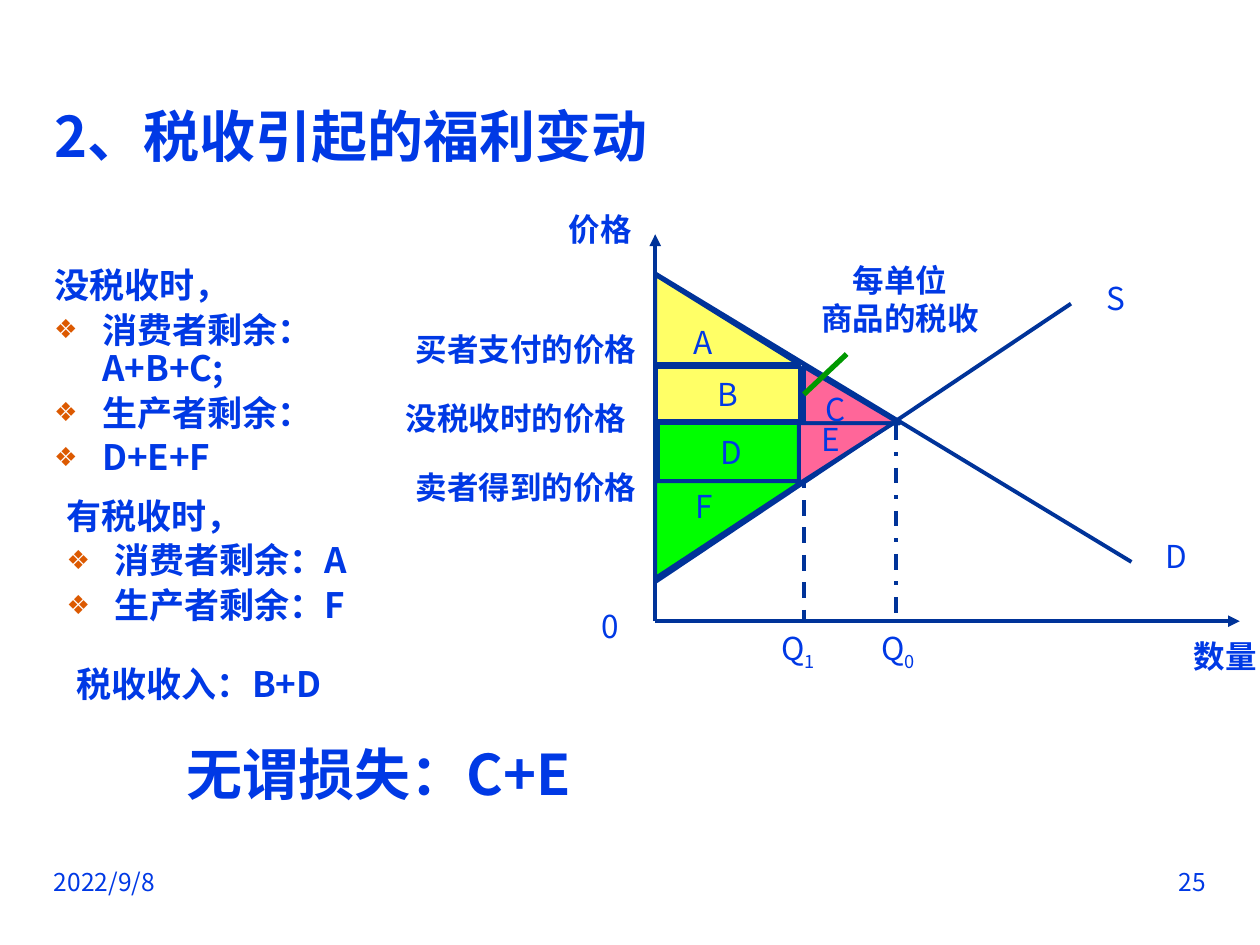
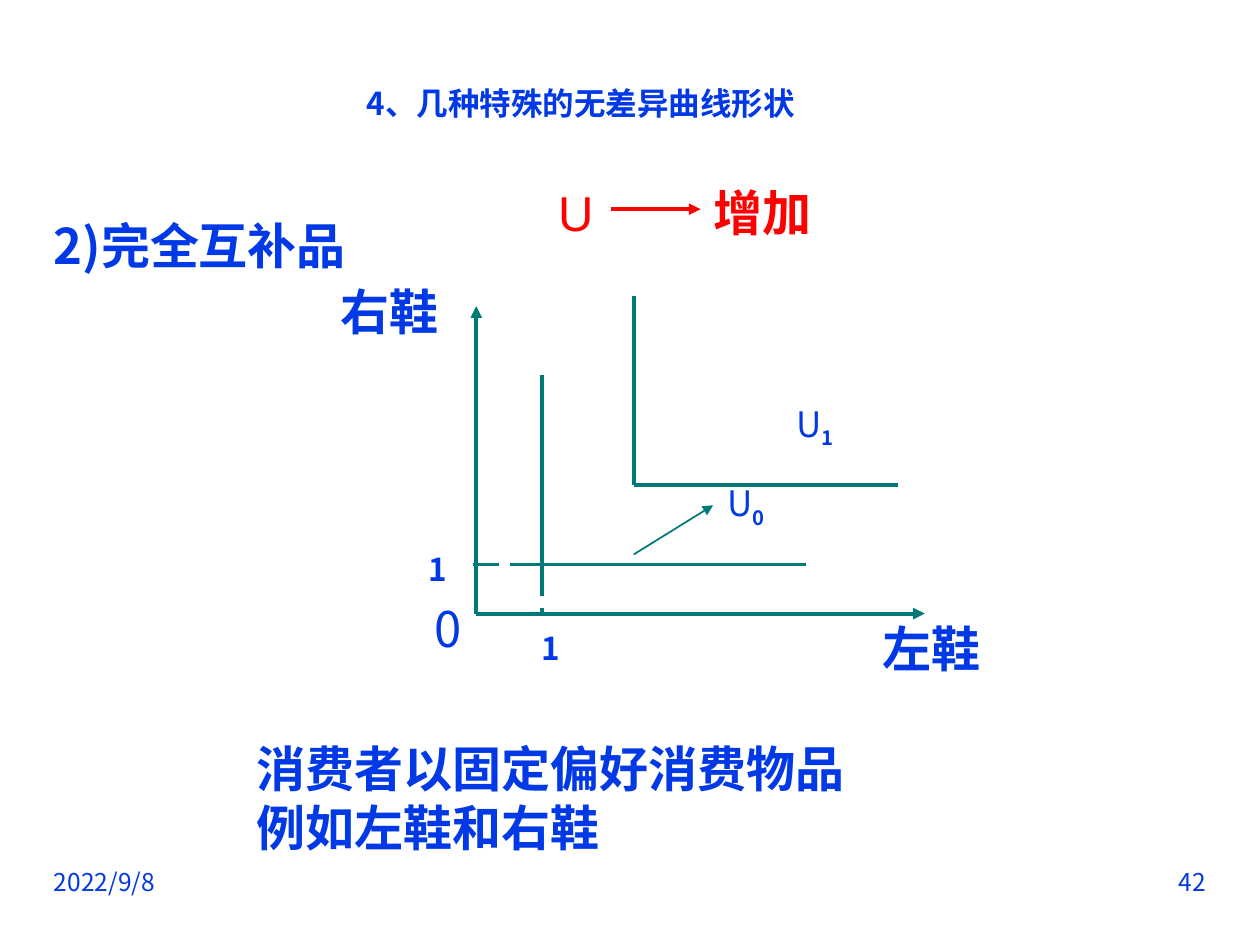
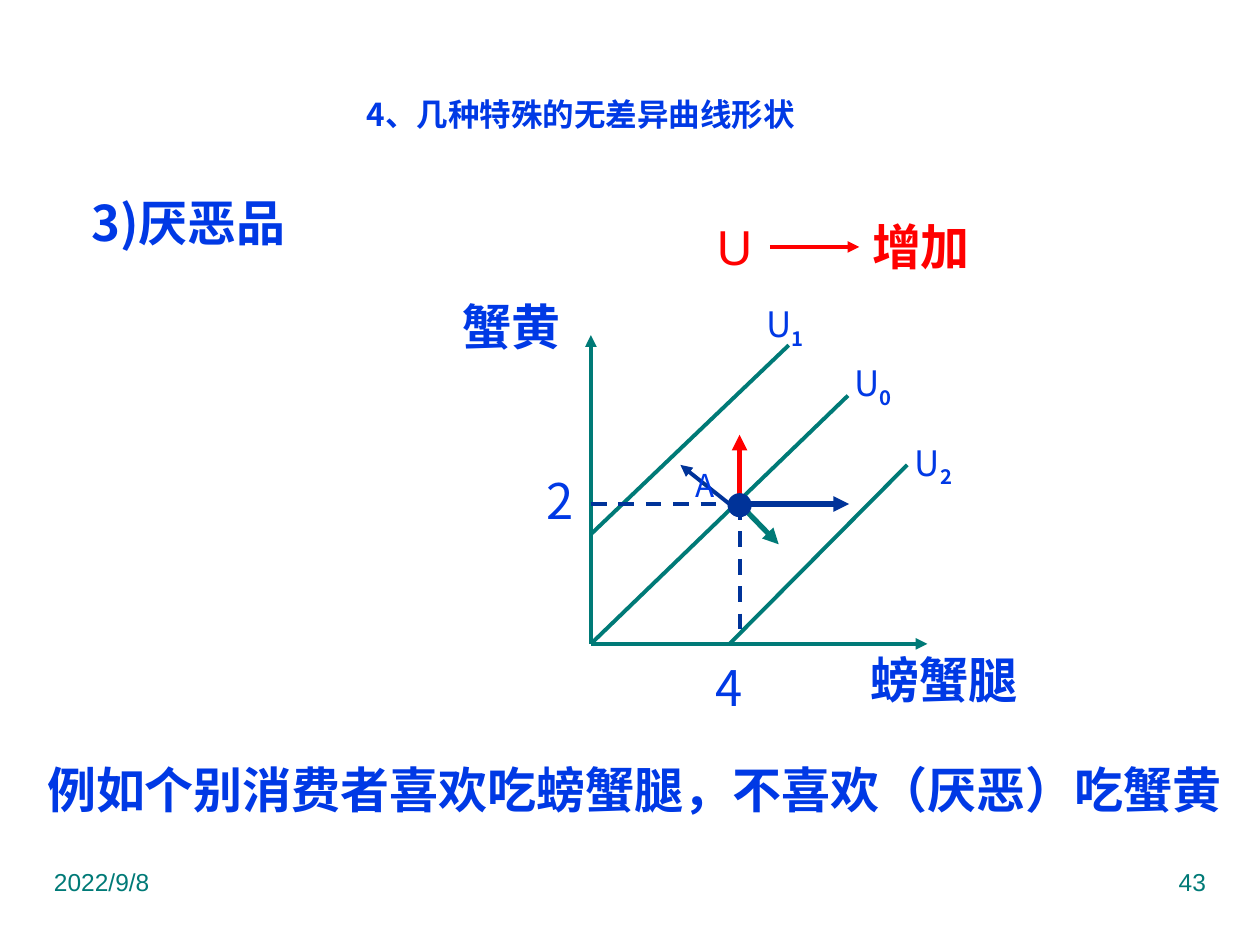
from dataclasses import dataclass
from typing import Optional

from lxml.etree import SubElement
from pptx import Presentation
from pptx.dml.color import RGBColor
from pptx.enum.dml import MSO_LINE as Dash
from pptx.enum.shapes import MSO_CONNECTOR as Connector, MSO_SHAPE as Preset
from pptx.enum.text import MSO_ANCHOR as Anchor, MSO_AUTO_SIZE as AutoSize, PP_ALIGN as Align
from pptx.oxml.ns import qn
from pptx.slide import Slide
from pptx.text.text import TextFrame, _Paragraph as Paragraph
from pptx.util import Inches, Pt

# Shared look
COLORS = {
    "text": "0039E5", "navy": "003399", "teal": "007A77", "red": "FF0000",
    "green": "009900", "bullet": "DC5900",
    "yellow": "FFFF66", "pink": "FF6699", "lime": "00FF00",
}
CJK = "Noto Sans CJK SC"
LATIN = "Arial"
DATE = "2022/9/8"
CURVES_TITLE = "4、几种特殊的无差异曲线形状"
TITLE_ONLY, TITLE_AND_BODY = 5, 1


@dataclass
class Box:
    left: float
    top: float
    width: float
    height: float

    def lengths(self) -> list:
        return [Inches(n) for n in (self.left, self.top, self.width, self.height)]


@dataclass
class Label:
    text: str
    box: Box
    size: int = 18
    bold: bool = False
    color: str = "text"
    font: str = CJK
    align: Align = Align.CENTER
    sub: str = ""
    sub_bold: bool = True
    preset: Preset = Preset.RECTANGLE


@dataclass
class Line:
    x1: float
    y1: float
    x2: float
    y2: float
    color: str = "navy"
    width: float = 2.25
    dash: Optional[Dash] = None
    arrow: bool = False


@dataclass
class Area:
    text: str
    preset: Preset
    box: Box
    fill: str
    flipped: bool = False


def rgb(name: str) -> RGBColor:
    return RGBColor.from_string(COLORS[name])


# Text
def style(paragraph: Paragraph, size: float, bold: bool = False,
          color: str = "text", font: str = CJK) -> None:
    paragraph.font.size = Pt(size)
    paragraph.font.bold = bold
    paragraph.font.color.rgb = rgb(color)
    paragraph.font.name = font
    defaults = paragraph._p.pPr.find(qn("a:defRPr"))
    SubElement(defaults, qn("a:ea")).set("typeface", CJK)


def add_label(slide: Slide, label: Label) -> None:
    shape = slide.shapes.add_shape(label.preset, *label.box.lengths())
    shape.shadow.inherit = False
    shape.fill.background()
    shape.line.fill.background()
    frame = shape.text_frame
    frame.word_wrap = False
    frame.vertical_anchor = Anchor.MIDDLE
    frame.text = label.text
    for paragraph in frame.paragraphs:
        paragraph.alignment = label.align
        style(paragraph, label.size, label.bold, label.color, label.font)
    if label.sub:
        subscript = frame.paragraphs[0].add_run()
        subscript.text = label.sub
        subscript.font.bold = label.sub_bold
        subscript._r.get_or_add_rPr().set("baseline", "-25000")


def add_title(slide: Slide, text: str, box: Box, size: int, anchor: Anchor) -> None:
    title = slide.shapes.title
    title.left, title.top, title.width, title.height = box.lengths()
    frame = title.text_frame
    frame.text = text
    frame.auto_size = AutoSize.NONE
    frame.word_wrap = True
    frame.vertical_anchor = anchor
    frame.paragraphs[0].alignment = Align.LEFT
    style(frame.paragraphs[0], size, bold=True)


def fill_list(frame: TextFrame, heading: str, items: list[str], size: int = 20) -> None:
    """Write a plain heading followed by bulleted items."""
    frame.auto_size = AutoSize.NONE
    frame.word_wrap = True
    frame.text = "\n".join([heading, *items])
    for index, paragraph in enumerate(frame.paragraphs):
        paragraph.line_spacing = 0.9
        paragraph.space_before = Pt(size * 0.2)
        properties = paragraph._p.get_or_add_pPr()
        properties.set("marL", str(Inches(0.38)))
        properties.set("indent", str(Inches(-0.38)))
        if index == 0:
            SubElement(properties, qn("a:buNone"))
        else:
            bullet_color = SubElement(properties, qn("a:buClr"))
            SubElement(bullet_color, qn("a:srgbClr")).set("val", COLORS["bullet"])
            SubElement(properties, qn("a:buSzPct")).set("val", "75000")
            SubElement(properties, qn("a:buFont")).set("typeface", LATIN)
            SubElement(properties, qn("a:buChar")).set("char", "❖")
        style(paragraph, size, bold=True)


def add_footer(slide: Slide, number: int, color: str = "text", font: str = CJK) -> None:
    for text, left, align in ((DATE, 0.33, Align.LEFT), (str(number), 7.17, Align.RIGHT)):
        frame = slide.shapes.add_textbox(*Box(left, 6.83, 2.5, 0.52).lengths()).text_frame
        frame.word_wrap = True
        frame.text = text
        frame.paragraphs[0].alignment = align
        style(frame.paragraphs[0], 14, color=color, font=font)


# Diagram parts
def add_line(slide: Slide, line: Line) -> None:
    ends = [Inches(n) for n in (line.x1, line.y1, line.x2, line.y2)]
    connector = slide.shapes.add_connector(Connector.STRAIGHT, *ends)
    connector.line.color.rgb = rgb(line.color)
    connector.line.width = Pt(line.width)
    if line.dash is not None:
        connector.line.dash_style = line.dash
    properties = connector._element.spPr
    if line.arrow:
        SubElement(properties.find(qn("a:ln")), qn("a:tailEnd")).set("type", "triangle")
    SubElement(properties, qn("a:effectLst"))


def add_area(slide: Slide, area: Area) -> None:
    shape = slide.shapes.add_shape(area.preset, *area.box.lengths())
    shape.shadow.inherit = False
    shape.fill.solid()
    shape.fill.fore_color.rgb = rgb(area.fill)
    shape.line.color.rgb = rgb("navy")
    shape.line.width = Pt(2.25)
    if area.text:
        frame = shape.text_frame
        frame.word_wrap = False
        frame.vertical_anchor = Anchor.MIDDLE
        frame.text = area.text
        frame.paragraphs[0].alignment = Align.CENTER
        style(frame.paragraphs[0], 18)
    if area.flipped:
        # Turn the letter back upright after the flip
        shape._element.spPr.find(qn("a:xfrm")).set("flipV", "1")
        shape.text_frame._txBody.bodyPr.set("rot", "10800000")


def add_all(slide: Slide, parts: list) -> None:
    draw = {Label: add_label, Line: add_line, Area: add_area}
    for part in parts:
        draw[type(part)](slide, part)


def axes(x: float, y: float, right: float, top: float, color: str) -> list[Line]:
    return [Line(x, y, right, y, color, arrow=True), Line(x, y, x, top, color, arrow=True)]


def utility_key(x: float, y: float, text_top: float) -> list:
    """Red "U → 增加" key whose arrow starts at x, y."""
    return [
        Label("U", Box(x - 0.48, text_top, 0.4, 0.7), 28, color="red", font=LATIN),
        Line(x, y, x + 0.71, y, "red", arrow=True),
        Label("增加", Box(x + 0.7, text_top, 1, 0.7), 28, True, "red", LATIN),
    ]


def axis_name(text: str, box: Box, align: Align = Align.CENTER) -> Label:
    return Label(text, box, 28, True, align=align, preset=Preset.OVAL)


def curve_label(number: int, left: float, top: float) -> Label:
    return Label("U", Box(left, top, 0.24, 0.32), 20, sub=str(number), preset=Preset.OVAL)


# Slides
def tax_slide(slide: Slide) -> None:
    add_footer(slide, 25)
    add_title(slide, "2、税收引起的福利变动", Box(0.33, 0.67, 9.34, 0.8), 32, Anchor.MIDDLE)

    # Surplus lists
    body = slide.placeholders[1]
    body.left, body.top, body.width, body.height = Box(0.33, 2.08, 2.78, 1.82).lengths()
    fill_list(body.text_frame, "没税收时，", ["消费者剩余：A+B+C;", "生产者剩余：", "D+E+F"])
    for heading, items, box, size in (
        ("有税收时，", ["消费者剩余：A", "生产者剩余：F"], Box(0.43, 3.91, 2.78, 1.26), 20),
        ("税收收入：B+D", [], Box(0.51, 5.25, 2.78, 0.47), 20),
        ("无谓损失：C+E", [], Box(1.38, 5.88, 4.41, 0.95), 32),
    ):
        fill_list(slide.shapes.add_textbox(*box.lengths()).text_frame, heading, items, size)

    # Axes, demand, supply and guide lines
    origin_x, origin_y, taxed_x = 5.2, 4.93, 6.38
    add_all(slide, [
        *axes(origin_x, origin_y, 9.84, 1.86, "navy"),
        Line(origin_x, 2.17, 8.98, 4.46),
        Line(origin_x, 4.62, 8.5, 2.41),
        Line(taxed_x, 2.88, taxed_x, origin_y, dash=Dash.DASH),
        *(Line(x, y, origin_x, y, dash=Dash.DASH)
          for x, y in ((taxed_x, 3.83), (taxed_x, 2.88), (7.01, 3.36))),
        Line(7.11, 3.37, 7.11, 4.94, dash=Dash.DASH_DOT),
    ])

    # Welfare areas
    triangle, rectangle = Preset.RIGHT_TRIANGLE, Preset.RECTANGLE
    add_all(slide, [
        Area("A", triangle, Box(5.2, 2.18, 1.14, 0.71), "yellow"),
        Area("B", rectangle, Box(5.21, 2.91, 1.14, 0.43), "yellow"),
        Area("C", triangle, Box(6.38, 2.91, 0.76, 0.45), "pink"),
        Area("D", rectangle, Box(5.22, 3.36, 1.17, 0.46), "lime"),
        Area("F", triangle, Box(5.2, 3.82, 1.17, 0.77), "lime", flipped=True),
        Area("E", triangle, Box(6.34, 3.36, 0.75, 0.48), "pink", flipped=True),
    ])

    # Labels and tax pointer
    for text, left, top, bold in (
        ("D", 9.06, 4.22, False), ("S", 8.58, 2.17, False), ("0", 4.57, 4.77, False),
        ("数量", 9.45, 5.01, True), ("价格", 4.49, 1.62, True),
    ):
        add_label(slide, Label(text, Box(left, top, 0.55, 0.39), bold=bold))
    for row, (text, left) in enumerate((
        ("买者支付的价格", 3.15), ("没税收时的价格", 3.07), ("卖者得到的价格", 3.15),
    )):
        add_label(slide, Label(text, Box(left, 2.49 + row * 0.55, 2.05, 0.55), bold=True))
    for sub, left in (("1", 6.14), ("0", 6.93)):
        add_label(slide, Label("Q", Box(left, 4.93, 0.39, 0.47), sub=sub, sub_bold=False))
    add_all(slide, [
        Label("每单位\n商品的税收", Box(6.48, 1.95, 1.33, 0.85), bold=True),
        Line(6.72, 2.81, 6.38, 3.13, "green", 3),
    ])


def complements_slide(slide: Slide) -> None:
    add_footer(slide, 42)
    add_title(slide, CURVES_TITLE, Box(2.81, 0.62, 3.63, 0.7), 18, Anchor.TOP)

    # Axes and L-shaped curves
    origin_x, origin_y = 3.78, 4.87
    add_all(slide, axes(origin_x, origin_y, 7.34, 2.43, "teal"))
    for x, y in ((4.3, 4.48), (5.03, 3.85)):
        add_all(slide, [Line(x, y - 1.5, x, y, "teal"), Line(x, y, x + 2.1, y, "teal")])
    add_all(slide, [
        Line(5.03, 4.4, 5.66, 4.01, "teal", 1, arrow=True),
        Line(4.3, 4.48, 4.3, origin_y, "teal", dash=Dash.LONG_DASH),
        Line(4.3, 4.48, 3.75, 4.48, "teal", dash=Dash.LONG_DASH),
        *utility_key(4.85, 1.66, 1.33),
    ])

    # Labels
    add_all(slide, [
        axis_name("左鞋", Box(7.03, 4.95, 0.73, 0.39)),
        axis_name("右鞋", Box(2.73, 2.27, 0.73, 0.39)),
        Label("2)完全互补品", Box(0.64, 1.59, 1.89, 0.71), 28, True),
        Label("消费者以固定偏好消费物品\n例如左鞋和右鞋", Box(1.94, 5.82, 5.28, 1.02),
              28, True, align=Align.LEFT),
        Label("0", Box(3.36, 4.71, 0.39, 0.55), 28, preset=Preset.OVAL),
        curve_label(0, 5.8, 3.85),
        curve_label(1, 6.35, 3.22),
        Label("1", Box(4.22, 4.95, 0.31, 0.39), bold=True),
        Label("1", Box(3.28, 4.32, 0.39, 0.39), bold=True),
    ])


def bads_slide(slide: Slide) -> None:
    add_footer(slide, 43, "teal", LATIN)
    add_title(slide, CURVES_TITLE, Box(2.81, 0.7, 3.63, 0.7), 18, Anchor.TOP)

    # Axes, indifference curves and moves away from point A
    origin_x, origin_y, a_x, a_y = 4.69, 5.11, 5.87, 4
    add_all(slide, [
        *axes(origin_x, origin_y, 7.36, 2.66, "teal"),
        Line(7.2, 3.69, 5.79, origin_y, "teal"),
        Line(6.73, 3.14, origin_x, origin_y, "teal"),
        Line(6.26, 2.74, origin_x, 4.24, "teal"),
        Line(a_x, a_y, 6.18, 4.32, "teal", 3, arrow=True),
        *utility_key(6.11, 1.96, 1.6),
        Line(origin_x, a_y, 5.79, a_y, dash=Dash.DASH),
        Line(a_x, a_y, 6.74, a_y, width=3, arrow=True),
        Line(a_x, a_y, a_x, 3.45, "red", 3, arrow=True),
        Area("", Preset.OVAL, Box(5.79, 3.93, 0.16, 0.16), "navy"),
        Line(5.79, a_y, 5.4, 3.69, arrow=True),
        Line(a_x, a_y, a_x, 5.03, dash=Dash.DASH),
    ])

    # Labels
    add_all(slide, [
        axis_name("螃蟹腿", Box(6.58, 5.19, 1.57, 0.39), Align.LEFT),
        axis_name("蟹黄", Box(3.43, 2.27, 1.26, 0.63)),
        Label("例如个别消费者喜欢吃螃蟹腿，不喜欢（厌恶）吃蟹黄",
              Box(0.35, 5.48, 9.37, 1.57), 28, True),
        Label("2", Box(4.29, 3.69, 0.31, 0.55), 28),
        Label("4", Box(5.63, 5.18, 0.31, 0.55), 28),
        curve_label(0, 6.81, 2.9),
        curve_label(1, 6.11, 2.43),
        curve_label(2, 7.29, 3.53),
        Label("A", Box(5.48, 3.69, 0.24, 0.31)),
        Label("3)厌恶品", Box(0.55, 1.41, 1.89, 0.71), 28, True),
    ])


def main() -> None:
    deck = Presentation()
    deck.slide_width, deck.slide_height = Inches(10), Inches(7.5)
    for build, layout in (
        (tax_slide, TITLE_AND_BODY),
        (complements_slide, TITLE_ONLY),
        (bads_slide, TITLE_ONLY),
    ):
        build(deck.slides.add_slide(deck.slide_layouts[layout]))
    deck.save("out.pptx")


if __name__ == "__main__":
    main()
